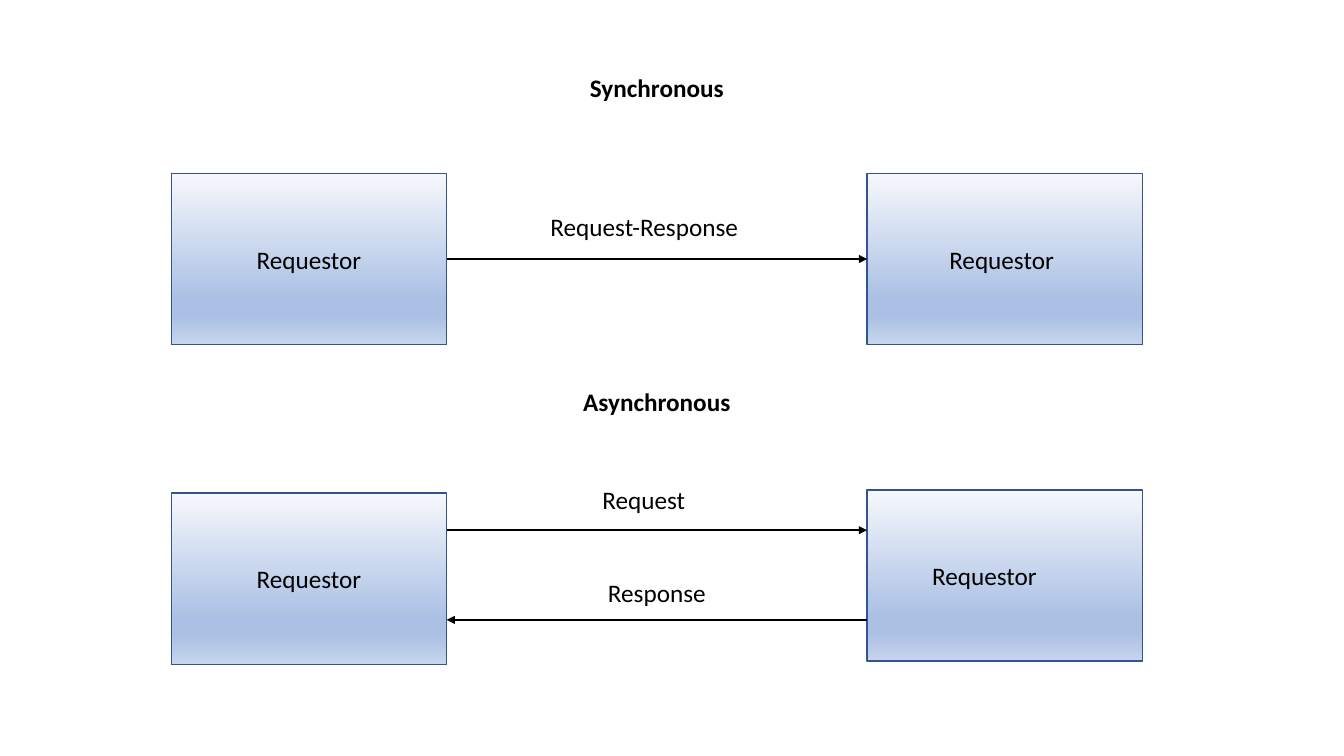
from lxml.etree import SubElement
from pptx import Presentation
from pptx.dml.color import RGBColor
from pptx.enum.shapes import MSO_CONNECTOR, MSO_SHAPE
from pptx.enum.text import MSO_ANCHOR, PP_ALIGN
from pptx.oxml.ns import qn
from pptx.util import Inches, Pt

BLACK = RGBColor(0x00, 0x00, 0x00)
BORDER = RGBColor(0x32, 0x54, 0x91)
PALE = RGBColor(0xF6, 0xF8, 0xFC)
MIDDLE = RGBColor(0xAB, 0xC0, 0xE4)
LIGHT = RGBColor(0xC7, 0xD5, 0xED)
GRADIENT = [(0, PALE), (74, MIDDLE), (83, MIDDLE), (100, LIGHT)]

NODE_WIDTH, NODE_HEIGHT = 2.73, 1.7
SECTION_WIDTH = 9.63


def write_text(frame, text, size=18, bold=False, anchor=MSO_ANCHOR.TOP):
    frame.word_wrap = True
    frame.vertical_anchor = anchor
    para = frame.paragraphs[0]
    para.alignment = PP_ALIGN.CENTER
    span = para.add_run()
    span.text = text
    span.font.name = "Calibri"
    span.font.size = Pt(size)
    span.font.bold = bold
    span.font.color.rgb = BLACK


def add_label(slide, text, left, top, width, height=0.63, bold=False):
    box = slide.shapes.add_textbox(Inches(left), Inches(top), Inches(width), Inches(height))
    write_text(box.text_frame, text, bold=bold)


def fill_gradient(shape):
    shape.fill.gradient()
    shape.fill.gradient_angle = 270
    stops = shape._element.spPr.find(qn("a:gradFill")).find(qn("a:gsLst"))
    for stop in list(stops):
        stops.remove(stop)
    for percent, color in GRADIENT:
        stop = SubElement(stops, qn("a:gs"), pos=str(percent * 1000))
        SubElement(stop, qn("a:srgbClr"), val=str(color))


def add_node(slide, left, top, text_shift=0):
    node = slide.shapes.add_shape(MSO_SHAPE.RECTANGLE, Inches(left), Inches(top),
                                  Inches(NODE_WIDTH), Inches(NODE_HEIGHT))
    node.shadow.inherit = False
    fill_gradient(node)
    node.line.color.rgb = BORDER
    node.line.width = Pt(1)
    write_text(node.text_frame, "Requestor", anchor=MSO_ANCHOR.MIDDLE)
    # A wider right margin moves the centred name to the left
    node.text_frame.margin_right = Inches(0.1 + 2 * text_shift)


def add_arrow(slide, start, end, height):
    arrow = slide.shapes.add_connector(MSO_CONNECTOR.STRAIGHT, Inches(start), Inches(height),
                                       Inches(end), Inches(height))
    arrow.line.color.rgb = BLACK
    arrow.line.width = Pt(1.25)
    SubElement(arrow.line._get_or_add_ln(), qn("a:tailEnd"), type="triangle")
    SubElement(arrow._element.spPr, qn("a:effectLst"))


def add_section(slide, left, top, title, left_drop, right_drop, text_shift):
    """Place a title over two nodes and return the ends of the gap between them."""
    gap_start = left + NODE_WIDTH
    gap_end = left + SECTION_WIDTH - NODE_WIDTH
    add_label(slide, title, left + 3.45, top, NODE_WIDTH, bold=True)
    add_node(slide, left, top + left_drop)
    add_node(slide, gap_end, top + right_drop, text_shift)
    return gap_start, gap_end


def add_synchronous(slide, left, top):
    start, end = add_section(slide, left, top, "Synchronous", 1.05, 1.05, 0.03)
    add_arrow(slide, start, end, top + 1.9)
    add_label(slide, "Request-Response", left + 3.6, top + 1.38, 2.18, height=0.4)


def add_asynchronous(slide, left, top):
    start, end = add_section(slide, left, top, "Asynchronous", 1.11, 1.08, 0.2)
    # Request goes right, response comes back
    add_arrow(slide, start, end, top + 1.48)
    add_label(slide, "Request", left + 2.95, top + 0.98, 3.47)
    add_arrow(slide, end, start, top + 2.37)
    add_label(slide, "Response", left + 3.08, top + 1.9, 3.47)


def main():
    deck = Presentation()
    deck.slide_width = Inches(13.33)
    deck.slide_height = Inches(7.5)
    slide = deck.slides.add_slide(deck.slide_layouts[6])
    add_synchronous(slide, 1.7, 0.67)
    add_asynchronous(slide, 1.7, 3.78)
    deck.save("out.pptx")


if __name__ == "__main__":
    main()
